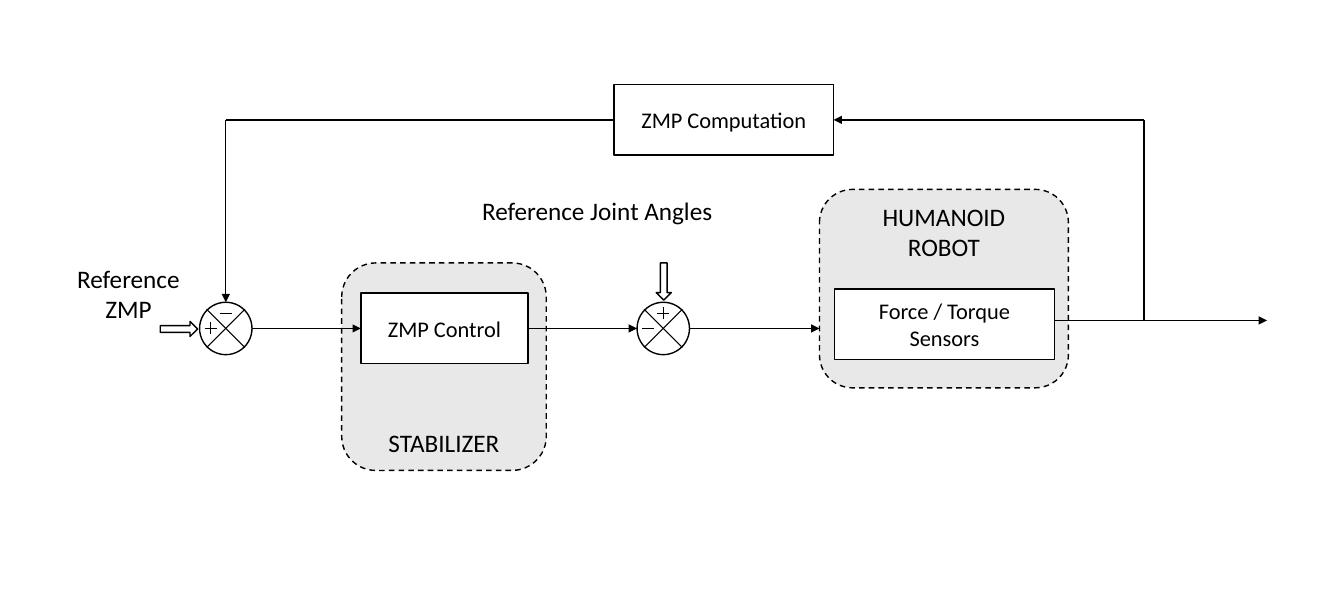
from pptx import Presentation
from pptx.dml.color import RGBColor
from pptx.enum.dml import MSO_LINE
from pptx.enum.shapes import MSO_CONNECTOR, MSO_SHAPE
from pptx.enum.text import MSO_ANCHOR, PP_ALIGN
from pptx.oxml.ns import qn
from pptx.util import Inches, Pt
from lxml import etree

RECT = MSO_SHAPE.RECTANGLE
ROUND = MSO_SHAPE.ROUNDED_RECTANGLE
OVAL = MSO_SHAPE.OVAL
DOWN = MSO_SHAPE.DOWN_ARROW
STRAIGHT = MSO_CONNECTOR.STRAIGHT
DASH = MSO_LINE.DASH
CENTER = PP_ALIGN.CENTER
TOP = MSO_ANCHOR.TOP
MIDDLE = MSO_ANCHOR.MIDDLE
BOTTOM = MSO_ANCHOR.BOTTOM

COLORS = {"ink": "000000", "paper": "FFFFFF", "panel": "E7E6E6"}
FONT = "Calibri"
LEFT, RIGHT = 1, 3
MAIN_Y = 3.26
BACK_Y = 1.19
OUT_Y = 3.18
TAP_X = 11.35
SUM_R = 0.26


def color(name):
    return RGBColor.from_string(COLORS[name])


def write(shape, text, size, anchor):
    frame = shape.text_frame
    frame.text = text
    frame.vertical_anchor = anchor
    for para in frame.paragraphs:
        para.alignment = CENTER
        for run in para.runs:
            run.font.name = FONT
            run.font.size = Pt(size)
            run.font.color.rgb = color("ink")


def outline(slide, kind, box, fill=None):
    shape = slide.shapes.add_shape(kind, *map(Inches, box))
    shape.shadow.inherit = False
    if fill:
        shape.fill.solid()
        shape.fill.fore_color.rgb = color(fill)
    else:
        shape.fill.background()
    shape.line.color.rgb = color("ink")
    shape.line.width = Pt(1)
    return shape


def panel(slide, box):
    shape = outline(slide, ROUND, box, "panel")
    shape.line.dash_style = DASH
    tint = shape.element.spPr.find(qn("a:solidFill"))[0]
    etree.SubElement(tint, qn("a:alpha"), val="90000")
    return shape


def block(slide, box, text, fill=None):
    shape = outline(slide, RECT, box, fill)
    frame = shape.text_frame
    frame.margin_left = frame.margin_right = Inches(0.07)
    frame.margin_top = frame.margin_bottom = Inches(0.04)
    frame.word_wrap = True
    write(shape, text, 16, MIDDLE)
    return shape


def label(slide, box, text):
    shape = slide.shapes.add_textbox(*map(Inches, box))
    shape.text_frame.word_wrap = False
    write(shape, text, 18, TOP)


def wire(slide, start, end, width=1, arrow=False, begin=None, finish=None):
    link = slide.shapes.add_connector(STRAIGHT, *map(Inches, start + end))
    if begin:
        link.begin_connect(*begin)
    if finish:
        link.end_connect(*finish)
    link.line.color.rgb = color("ink")
    link.line.width = Pt(width)
    props = link.element.spPr
    if arrow:
        etree.SubElement(props.find(qn("a:ln")), qn("a:tailEnd"), type="triangle")
    etree.SubElement(props, qn("a:effectLst"))


def stroke(slide, x, y, dx, dy):
    wire(slide, (x - dx, y - dy), (x + dx, y + dy), 0.75)


def summer(slide, x, plus, minus):
    outline(slide, OVAL, (x - SUM_R, MAIN_Y - SUM_R, 2 * SUM_R, 2 * SUM_R))
    for rise in (0.19, -0.19):
        stroke(slide, x, MAIN_Y, 0.19, rise)
    for dx, dy in (plus, minus):
        stroke(slide, x + dx, MAIN_Y + dy, 0.06, 0)
    stroke(slide, x + plus[0], MAIN_Y + plus[1], 0, 0.06)


def inlet(slide, x, y, turn=0):
    arrow = outline(slide, DOWN, (x, y, 0.15, 0.37))
    arrow.adjustments[0] = 0.44
    arrow.rotation = turn


def main():
    deck = Presentation()
    deck.slide_width = Inches(40 / 3)
    deck.slide_height = Inches(15 / 2.54)
    slide = deck.slides.add_slide(deck.slide_layouts[6])

    stable = panel(slide, (3.39, 2.61, 2.03, 2.06))
    stable.text_frame.margin_bottom = Inches(0.03)
    write(stable, "STABILIZER", 18, BOTTOM)
    panel(slide, (8.13, 1.88, 2.47, 1.97))

    block(slide, (8.28, 2.87, 2.18, 0.7), "Force / Torque Sensors", "paper")
    comp = block(slide, (6.09, 0.84, 2.18, 0.7), "ZMP Computation")
    ctrl = block(slide, (3.58, 2.91, 1.66, 0.7), "ZMP Control", "paper")

    label(slide, (8.65, 1.95, 1.43, 0.71), "HUMANOID\nROBOT")
    label(slide, (0.66, 2.56, 1.23, 0.71), "Reference\nZMP")
    label(slide, (4.68, 1.89, 2.49, 0.4), "Reference Joint Angles")

    left, above = (-0.15, 0), (0, -0.15)
    zmp, joint = 2.24, 6.58
    summer(slide, zmp, plus=left, minus=above)
    summer(slide, joint, plus=above, minus=left)
    inlet(slide, 1.7, 3.08, 270)
    inlet(slide, 6.51, 2.61)

    wire(slide, (10.46, OUT_Y), (12.57, OUT_Y), arrow=True)
    wire(slide, (TAP_X, BACK_Y), (TAP_X, OUT_Y))
    wire(slide, (TAP_X, BACK_Y), (8.27, BACK_Y), arrow=True, finish=(comp, RIGHT))
    wire(slide, (6.09, BACK_Y), (zmp, BACK_Y), begin=(comp, LEFT))
    wire(slide, (zmp, BACK_Y), (zmp, MAIN_Y - SUM_R), arrow=True)
    wire(slide, (zmp + SUM_R, MAIN_Y), (3.58, MAIN_Y), arrow=True, finish=(ctrl, LEFT))
    wire(slide, (5.24, MAIN_Y), (joint - SUM_R, MAIN_Y), arrow=True, begin=(ctrl, RIGHT))
    wire(slide, (joint + SUM_R, MAIN_Y), (8.13, MAIN_Y), arrow=True)

    deck.save("out.pptx")


if __name__ == "__main__":
    main()
